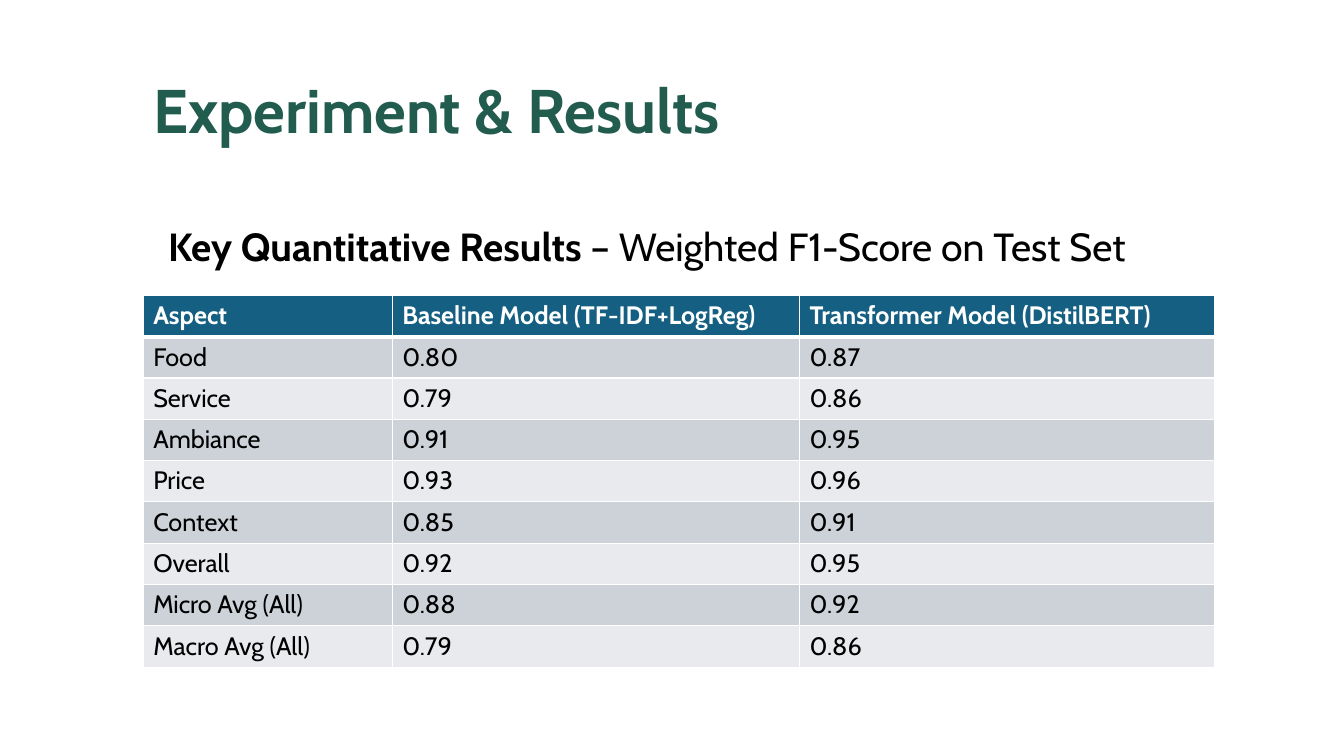
from dataclasses import dataclass

from lxml import etree
from pptx import Presentation
from pptx.dml.color import RGBColor
from pptx.enum import text as t
from pptx.oxml import ns
from pptx.util import Inches, Pt

FONT = "Cabin"
WHITE = RGBColor(0xFF, 0xFF, 0xFF)
BLACK = RGBColor(0x00, 0x00, 0x00)
GREEN = RGBColor(0x21, 0x5C, 0x4F)
HEADER_BLUE = RGBColor(0x15, 0x60, 0x82)
BANDS = (RGBColor(0xCC, 0xD2, 0xD8), RGBColor(0xE8, 0xEA, 0xED))

COLUMN_WIDTHS = (2.47, 4.04, 4.12)
ROW_HEIGHT = 0.41
HEADINGS = ("Aspect", "Baseline Model (TF-IDF+LogReg)", "Transformer Model (DistilBERT)")


@dataclass(frozen=True)
class Score:
    aspect: str
    baseline: str
    transformer: str


@dataclass(frozen=True)
class Run:
    text: str
    bold: bool


@dataclass(frozen=True)
class TextBlock:
    left: float
    top: float
    width: float
    height: float
    size: int
    color: RGBColor
    runs: tuple[Run, ...]
    anchor: t.MSO_ANCHOR
    line_spacing: float


SCORES = (
    Score("Food", "0.80", "0.87"),
    Score("Service", "0.79", "0.86"),
    Score("Ambiance", "0.91", "0.95"),
    Score("Price", "0.93", "0.96"),
    Score("Context", "0.85", "0.91"),
    Score("Overall", "0.92", "0.95"),
    Score("Micro Avg (All)", "0.88", "0.92"),
    Score("Macro Avg (All)", "0.79", "0.86"),
)

TITLE = TextBlock(1.42, 0.4, 10.63, 1.45, 44, GREEN,
                  (Run("Experiment & Results", True),), t.MSO_ANCHOR.MIDDLE, 0.9)
SUBTITLE = TextBlock(1.57, 2.16, 10.05, 0.57, 28, BLACK,
                     (Run("Key Quantitative Results ", True),
                      Run("– Weighted F1-Score on Test Set", False)),
                     t.MSO_ANCHOR.TOP, 1.0)


def style_font(font, size: int, color: RGBColor) -> None:
    font.name = FONT
    font.size = Pt(size)
    font.color.rgb = color


def add_text(slide, block: TextBlock) -> None:
    box = slide.shapes.add_textbox(Inches(block.left), Inches(block.top),
                                   Inches(block.width), Inches(block.height))
    frame = box.text_frame
    frame.word_wrap = True
    frame.vertical_anchor = block.anchor
    paragraph = frame.paragraphs[0]
    paragraph.line_spacing = block.line_spacing
    style_font(paragraph.font, block.size, block.color)
    for part in block.runs:
        run = paragraph.add_run()
        run.text = part.text
        run.font.bold = part.bold


def add_border(cell, side: str, width: float) -> None:
    line = etree.SubElement(cell._tc.get_or_add_tcPr(), ns.qn(f"a:ln{side}"), w=str(Pt(width)))
    fill = etree.SubElement(line, ns.qn("a:solidFill"))
    etree.SubElement(fill, ns.qn("a:srgbClr"), val=str(WHITE))


def fill_cell(cell, content: str, row: int) -> None:
    is_header = row == 0
    # Borders come before the fill in the cell properties
    widths = {"L": 1, "R": 1, "T": 3 if row == 1 else 1, "B": 3 if is_header else 1}
    for side, width in widths.items():
        add_border(cell, side, width)
    cell.fill.solid()
    cell.fill.fore_color.rgb = HEADER_BLUE if is_header else BANDS[(row - 1) % 2]
    cell.text = content
    font = cell.text_frame.paragraphs[0].font
    style_font(font, 18, WHITE if is_header else BLACK)
    font.bold = is_header


def add_score_table(slide) -> None:
    rows = [HEADINGS] + [(s.aspect, s.baseline, s.transformer) for s in SCORES]
    table = slide.shapes.add_table(
        len(rows), len(HEADINGS), Inches(1.42), Inches(2.93),
        Inches(sum(COLUMN_WIDTHS)), Inches(ROW_HEIGHT * len(rows))).table
    for column, width in zip(table.columns, COLUMN_WIDTHS):
        column.width = Inches(width)
    for row_index, values in enumerate(rows):
        table.rows[row_index].height = Inches(ROW_HEIGHT)
        for column_index, value in enumerate(values):
            fill_cell(table.cell(row_index, column_index), value, row_index)


def main() -> None:
    presentation = Presentation()
    presentation.slide_width = Inches(13.33)
    presentation.slide_height = Inches(7.5)
    slide = presentation.slides.add_slide(presentation.slide_layouts[6])

    # Title, results table and its heading
    add_text(slide, TITLE)
    add_score_table(slide)
    add_text(slide, SUBTITLE)

    presentation.save("out.pptx")


if __name__ == "__main__":
    main()
